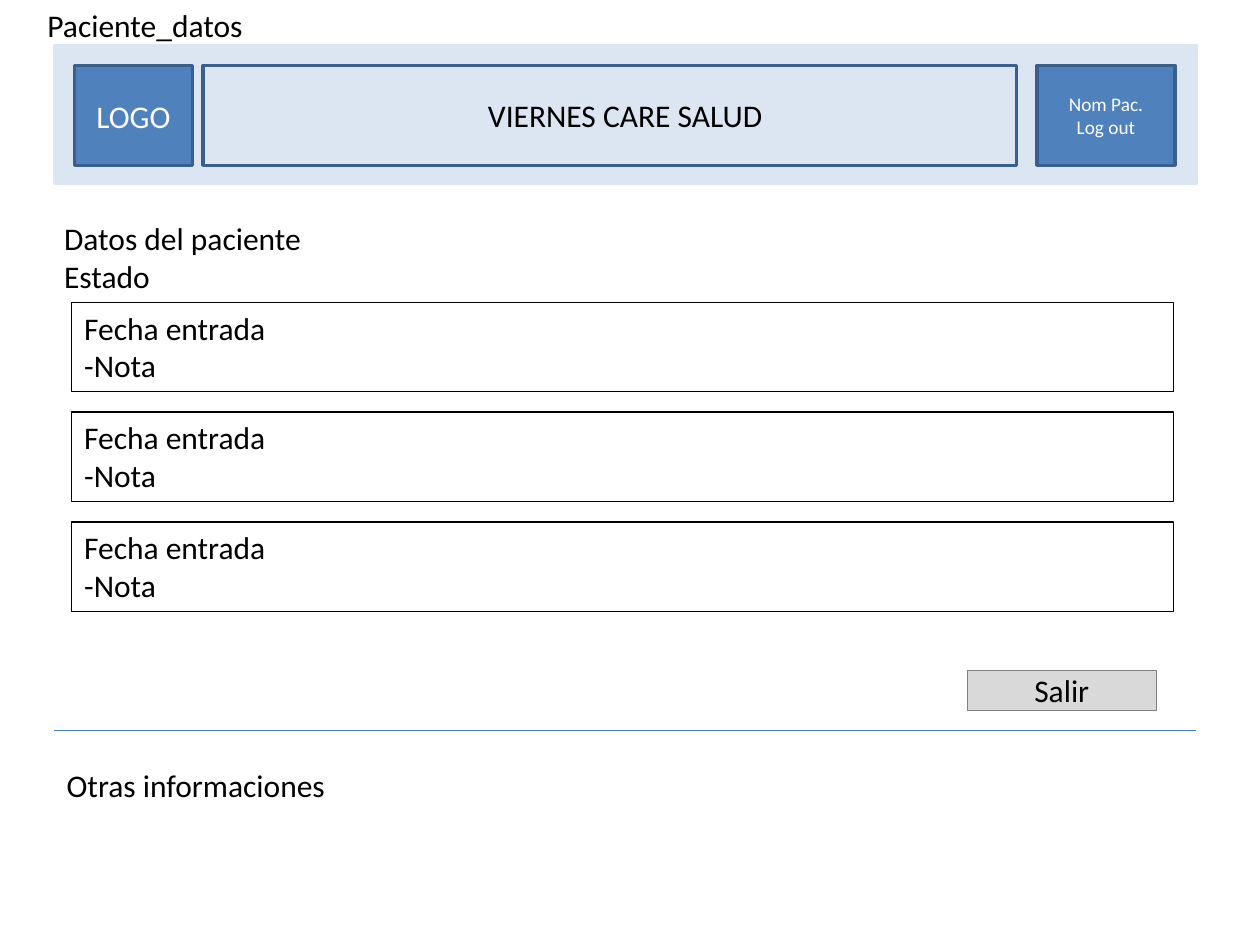
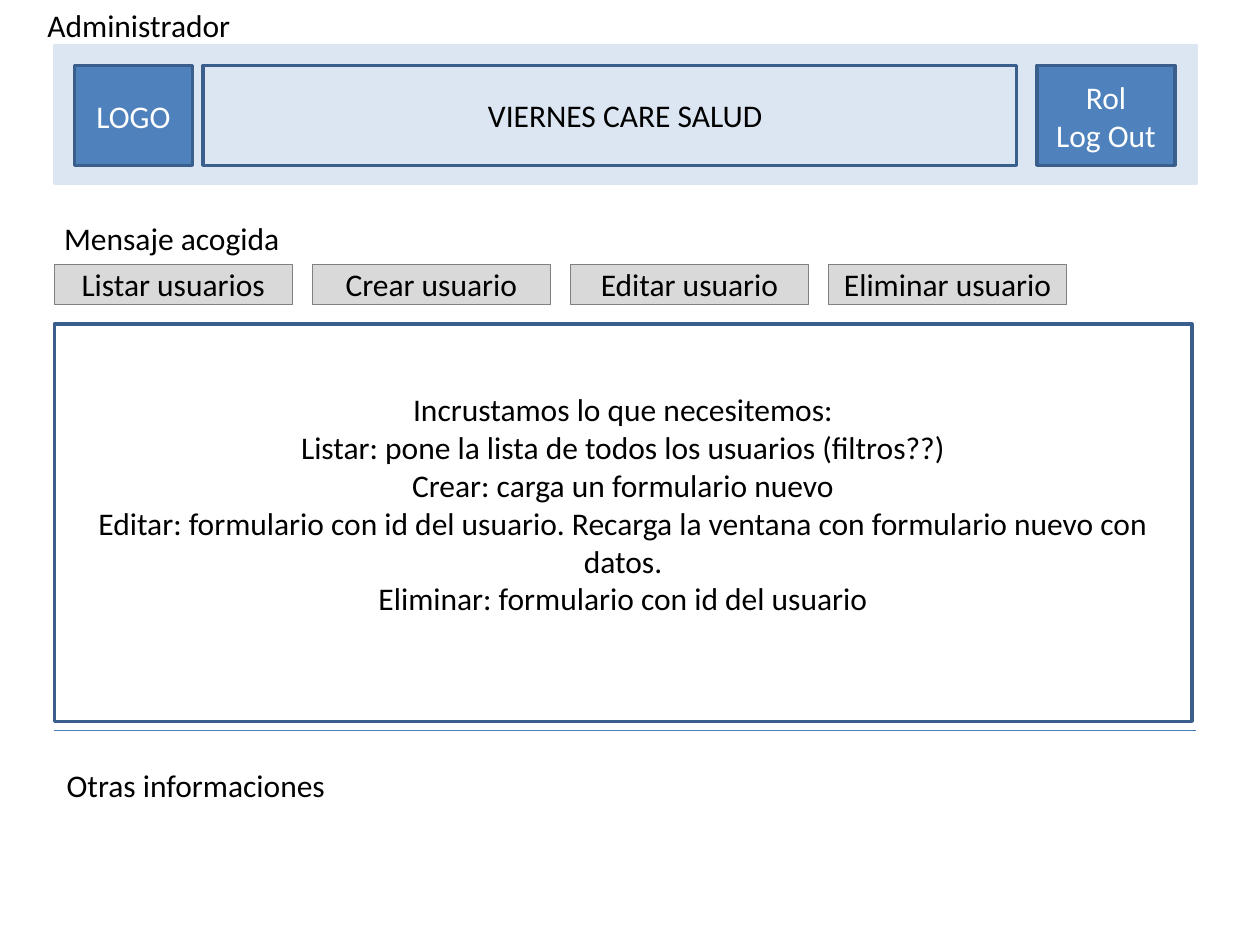
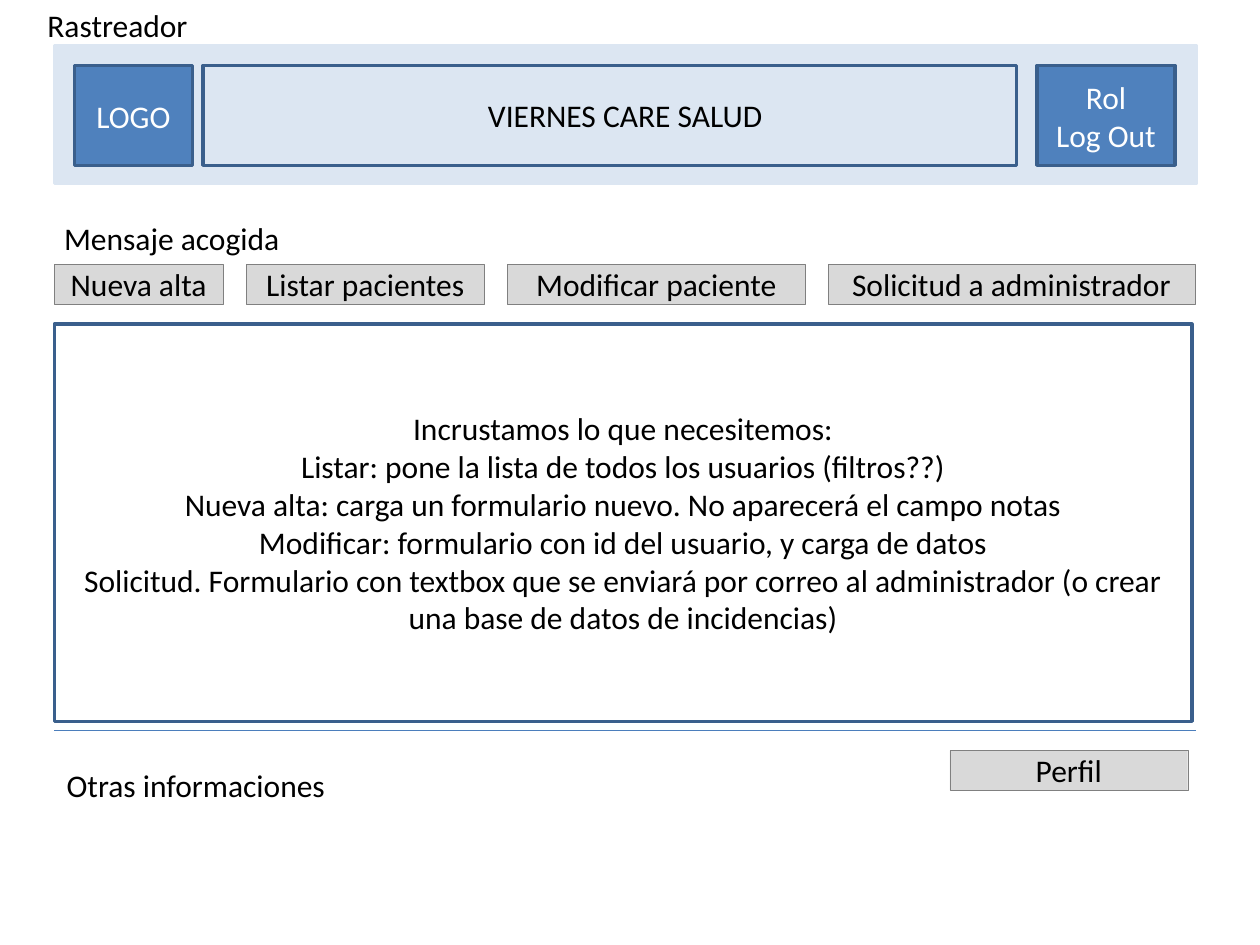
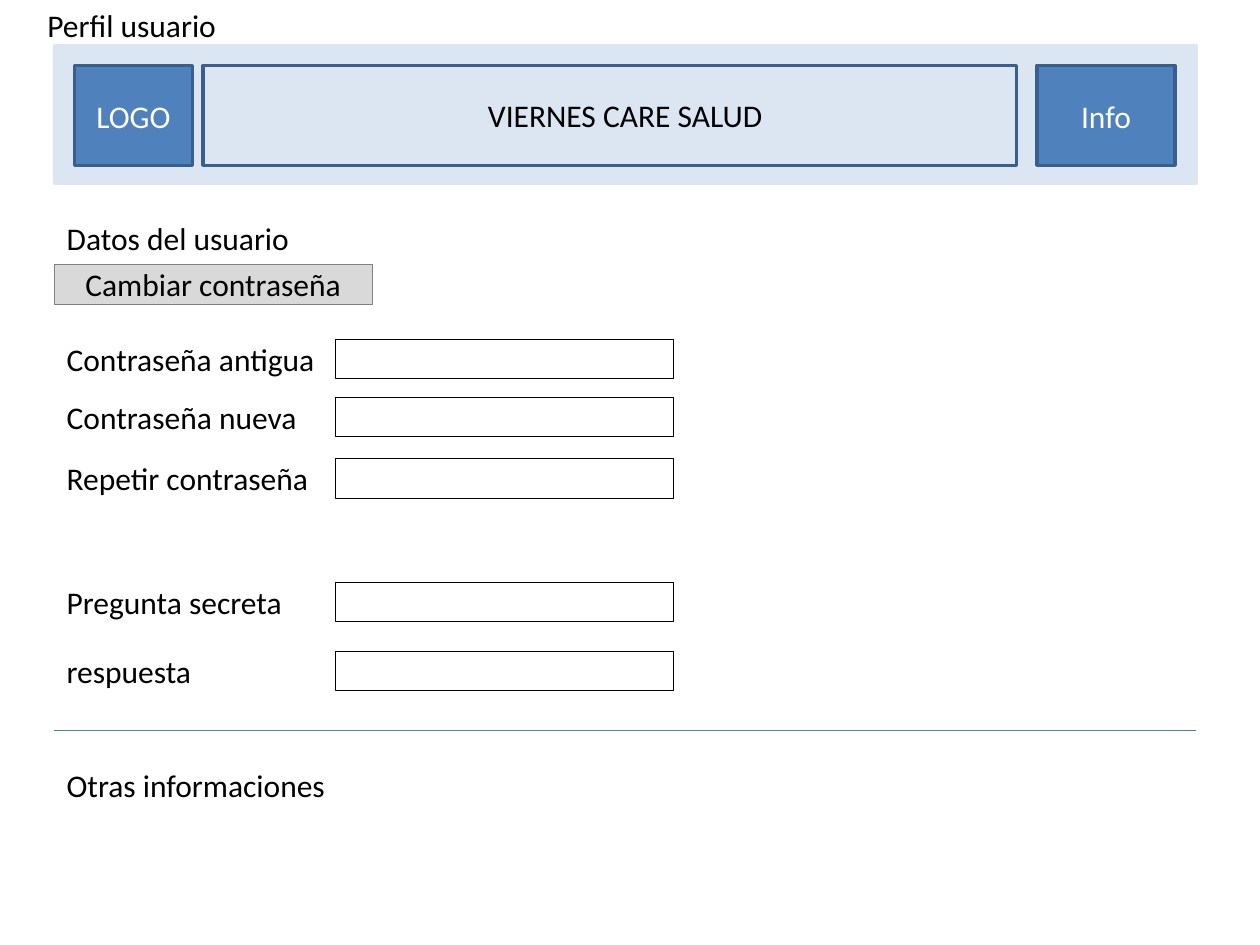
from dataclasses import dataclass

from lxml.etree import SubElement
from pptx import Presentation
from pptx.dml.color import RGBColor
from pptx.enum.shapes import MSO_CONNECTOR, MSO_SHAPE
from pptx.enum.text import MSO_ANCHOR, MSO_AUTO_SIZE, PP_ALIGN
from pptx.oxml.ns import qn
from pptx.util import Pt


@dataclass(frozen=True)
class Theme:
    font: str = "Calibri"
    body: float = 18
    small: float = 11
    ink: str = "000000"
    light: str = "FFFFFF"
    band: str = "DCE6F2"
    blue: str = "4F81BD"
    edge: str = "3A5F8C"
    rule: str = "4B7EBC"
    gray: str = "D9D9D9"
    rim: str = "808080"
    left: float = 31
    width: float = 652.5
    high: float = 22.5
    row: float = 151.25


def color(code):
    return RGBColor.from_string(code)


class Page:
    def __init__(self, deck, theme):
        self.deck = deck
        self.theme = theme
        self.slide = None

    def label(self, shape, lines, size=None, ink=None, align=PP_ALIGN.LEFT):
        frame = shape.text_frame
        frame.text = "\n".join(lines)
        for para in frame.paragraphs:
            para.alignment = align
            para.font.name = self.theme.font
            para.font.size = Pt(size or self.theme.body)
            para.font.color.rgb = color(ink or self.theme.ink)

    def box(self, x, y, w, h, fill, edge, weight, lines=(), size=None, ink=None):
        shape = self.slide.shapes.add_shape(
            MSO_SHAPE.RECTANGLE, Pt(x), Pt(y), Pt(w), Pt(h))
        shape.shadow.inherit = False
        if fill:
            shape.fill.solid()
            shape.fill.fore_color.rgb = color(fill)
        else:
            shape.fill.background()
        shape.line.color.rgb = color(edge)
        shape.line.width = Pt(weight)
        if lines:
            shape.text_frame.vertical_anchor = MSO_ANCHOR.MIDDLE
            self.label(shape, lines, size, ink, PP_ALIGN.CENTER)
        return shape

    def text(self, x, y, w, *lines, wrap=True):
        shape = self.slide.shapes.add_textbox(
            Pt(x), Pt(y), Pt(w), Pt(7 + 22 * len(lines)))
        shape.text_frame.word_wrap = wrap
        shape.text_frame.auto_size = MSO_AUTO_SIZE.SHAPE_TO_FIT_TEXT
        self.label(shape, lines)

    def line(self, x, y, w):
        rule = self.slide.shapes.add_connector(
            MSO_CONNECTOR.STRAIGHT, Pt(x), Pt(y), Pt(x + w), Pt(y))
        rule.line.color.rgb = color(self.theme.rule)
        rule.line.width = Pt(0.75)
        SubElement(rule._element.spPr, qn("a:effectLst"))

    def start(self, title, user, size=None, wide=119):
        t = self.theme
        self.slide = self.deck.slides.add_slide(self.deck.slide_layouts[6])
        self.box(t.left, 26, t.width, 79, t.band, t.band, 2, ["VIERNES CARE SALUD"])
        self.box(42.5, 37.5, 67.5, 57, t.blue, t.edge, 2, ["LOGO"], ink=t.light)
        self.box(116, 37.5, 465, 57, None, t.edge, 2)
        self.box(592.5, 37.5, 79, 57, t.blue, t.edge, 2, user, size, t.light)
        self.text(20, 0, wide, title)
        self.text(t.left, 434, t.width, "Otras informaciones")
        self.line(t.left, 417.5, t.width)

    def intro(self, *lines, x=29.5):
        self.text(x, 121.75, self.theme.width, *lines)

    def button(self, x, y, w, name):
        t = self.theme
        self.box(x, y, w, t.high, t.gray, t.rim, 0.25, [name])

    def menu(self, items, gap):
        x = self.theme.left
        for name, w in items:
            self.button(x, self.theme.row, w, name)
            x += w + gap

    def panel(self, lines, lift=0):
        t = self.theme
        shape = self.box(t.left, 185.25, 650, 227, None, t.edge, 2, lines)
        shape.text_frame.margin_bottom = Pt(3.6 + lift)

    def card(self, y, *lines):
        shape = self.box(41, y, 629.5, 51, None, self.theme.ink, 0.75)
        shape.text_frame.vertical_anchor = MSO_ANCHOR.TOP
        shape.text_frame.auto_size = MSO_AUTO_SIZE.SHAPE_TO_FIT_TEXT
        self.label(shape, lines)

    def field(self, y, w, name):
        t = self.theme
        self.box(191.5, y, 193, t.high, None, t.ink, 0.25)
        self.text(t.left, y - 3, w, name, wrap=False)


deck = Presentation()
deck.slide_width, deck.slide_height = Pt(720), Pt(540)
theme = Theme()
page = Page(deck, theme)

page.start("Paciente_datos", ["Nom Pac.", "Log out"], theme.small, wide=191)
page.intro("Datos del paciente", "Estado")
for i in range(3):
    page.card(172.75 + i * 62.75, "Fecha entrada", "-Nota")
page.button(552.75, 383.25, 108, "Salir")

role = ["Rol", "Log Out"]
page.start("Administrador", role)
page.intro("Mensaje acogida")
tasks = ["Listar usuarios", "Crear usuario", "Editar usuario", "Eliminar usuario"]
page.menu([(task, 136) for task in tasks], 11.5)
page.panel([
    "Incrustamos lo que necesitemos:",
    "Listar: pone la lista de todos los usuarios (filtros??)",
    "Crear: carga un formulario nuevo",
    "Editar: formulario con id del usuario. "
    "Recarga la ventana con formulario nuevo con datos.",
    "Eliminar: formulario con id del usuario",
], lift=21.6)

page.start("Rastreador", role)
page.intro("Mensaje acogida")
page.menu([
    ("Nueva alta", 96.5),
    ("Listar pacientes", 136),
    ("Modificar paciente", 170),
    ("Solicitud a administrador", 209.5),
], 13.25)
page.panel([
    "Incrustamos lo que necesitemos:",
    "Listar: pone la lista de todos los usuarios (filtros??)",
    "Nueva alta: carga un formulario nuevo. No aparecerá el campo notas",
    "Modificar: formulario con id del usuario, y carga de datos",
    "Solicitud. Formulario con textbox que se enviará por correo "
    "al administrador (o crear una base de datos de incidencias)",
])
page.button(542.75, 429, 136, "Perfil")

page.start("Perfil usuario", ["Info"])
page.intro("Datos del usuario", x=theme.left)
page.menu([("Cambiar contraseña", 181.5)], 0)
for y, w, name in [
    (193.75, 157.5, "Contraseña antigua"),
    (227, 147.5, "Contraseña nueva"),
    (262, 154, "Repetir contraseña"),
    (332.5, 139, "Pregunta secreta"),
    (372, 86.5, "respuesta"),
]:
    page.field(y, w, name)

deck.save("out.pptx")
